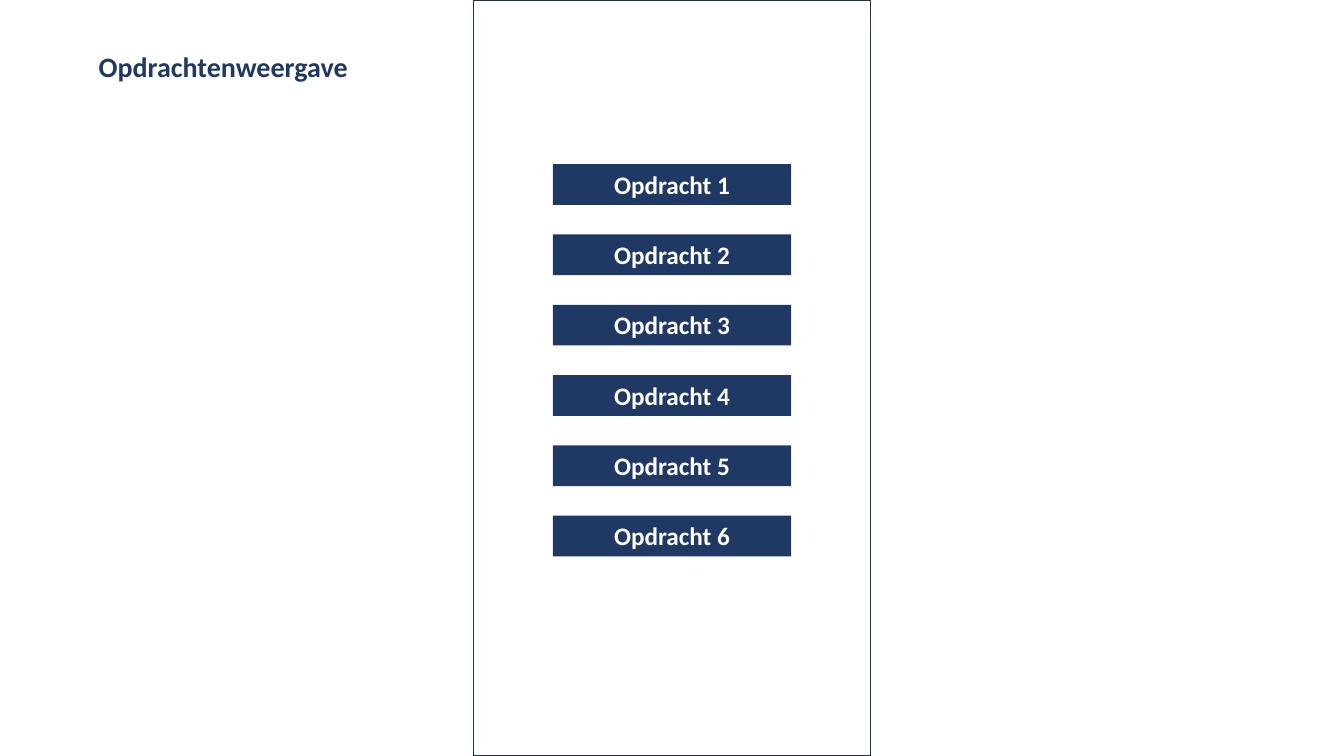
from pptx import Presentation
from pptx.dml.color import RGBColor
from pptx.enum.shapes import MSO_SHAPE
from pptx.enum.text import MSO_ANCHOR, PP_ALIGN
from pptx.util import Pt

NAVY = RGBColor(0x20, 0x38, 0x64)
FRAME_LINE = RGBColor(0x1E, 0x32, 0x56)
WHITE = RGBColor(0xFF, 0xFF, 0xFF)

ASSIGNMENT_COUNT = 6
BUTTON_HEIGHT = 29.1
BUTTON_PITCH = 50.2


def write_text(box, text, size, color):
    """Write one bold, centred line in a box."""
    frame = box.text_frame
    frame.word_wrap = True
    frame.vertical_anchor = MSO_ANCHOR.TOP
    para = frame.paragraphs[0]
    para.alignment = PP_ALIGN.CENTER
    span = para.add_run()
    span.text = text
    span.font.name = "Calibri"
    span.font.size = Pt(size)
    span.font.bold = True
    span.font.color.rgb = color


def add_title(page, left, top, width, height):
    """Place the heading beside the screen."""
    box = page.shapes.add_textbox(Pt(left), Pt(top), Pt(width), Pt(height))
    write_text(box, "Opdrachtenweergave", size=20, color=NAVY)


def add_rectangle(page, left, top, width, height):
    """Add a plain rectangle without a shadow."""
    box = page.shapes.add_shape(
        MSO_SHAPE.RECTANGLE, Pt(left), Pt(top), Pt(width), Pt(height))
    box.shadow.inherit = False
    return box


def add_screen(page, left, top, width, height):
    """Draw the screen outline with its column of assignment buttons."""
    outline = add_rectangle(page, left, top, width, height)
    outline.fill.background()
    outline.line.color.rgb = FRAME_LINE
    outline.line.width = Pt(1)

    button_width = 0.6 * width
    button_left = left + (width - button_width) / 2
    first_top = top + 117.3
    for index in range(ASSIGNMENT_COUNT):
        button = add_rectangle(page, button_left, first_top + index * BUTTON_PITCH,
                               button_width, BUTTON_HEIGHT)
        button.fill.solid()
        button.fill.fore_color.rgb = NAVY
        button.line.fill.background()
        write_text(button, f"Opdracht {index + 1}", size=18, color=WHITE)


def main():
    """Build the assignment overview and save it."""
    deck = Presentation()
    deck.slide_width = Pt(960)
    deck.slide_height = Pt(540)
    page = deck.slides.add_slide(deck.slide_layouts[6])
    add_screen(page, left=338.2, top=0, width=283.6, height=540)
    add_title(page, left=39.3, top=31.5, width=240.5, height=31.5)
    deck.save("out.pptx")


if __name__ == "__main__":
    main()
